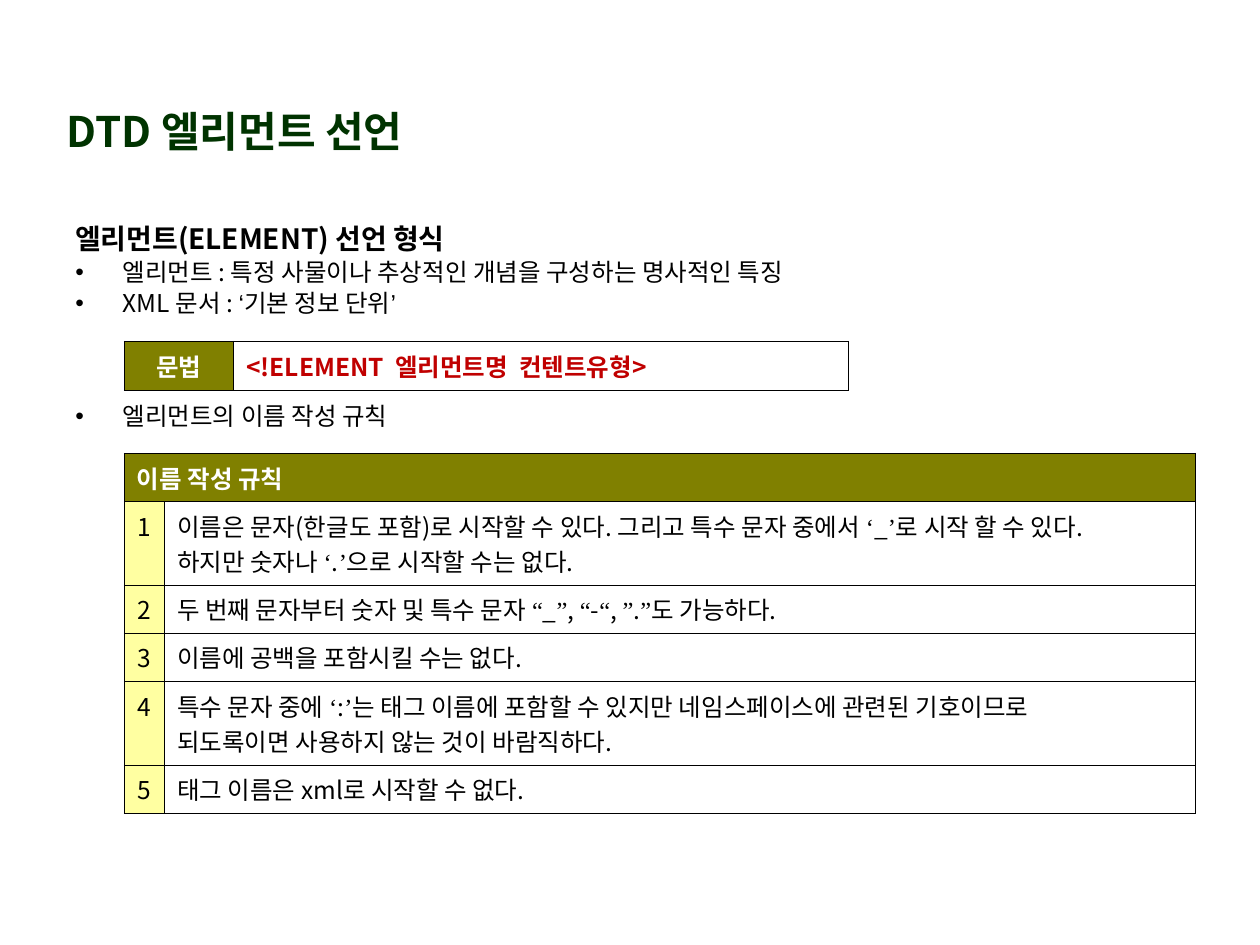
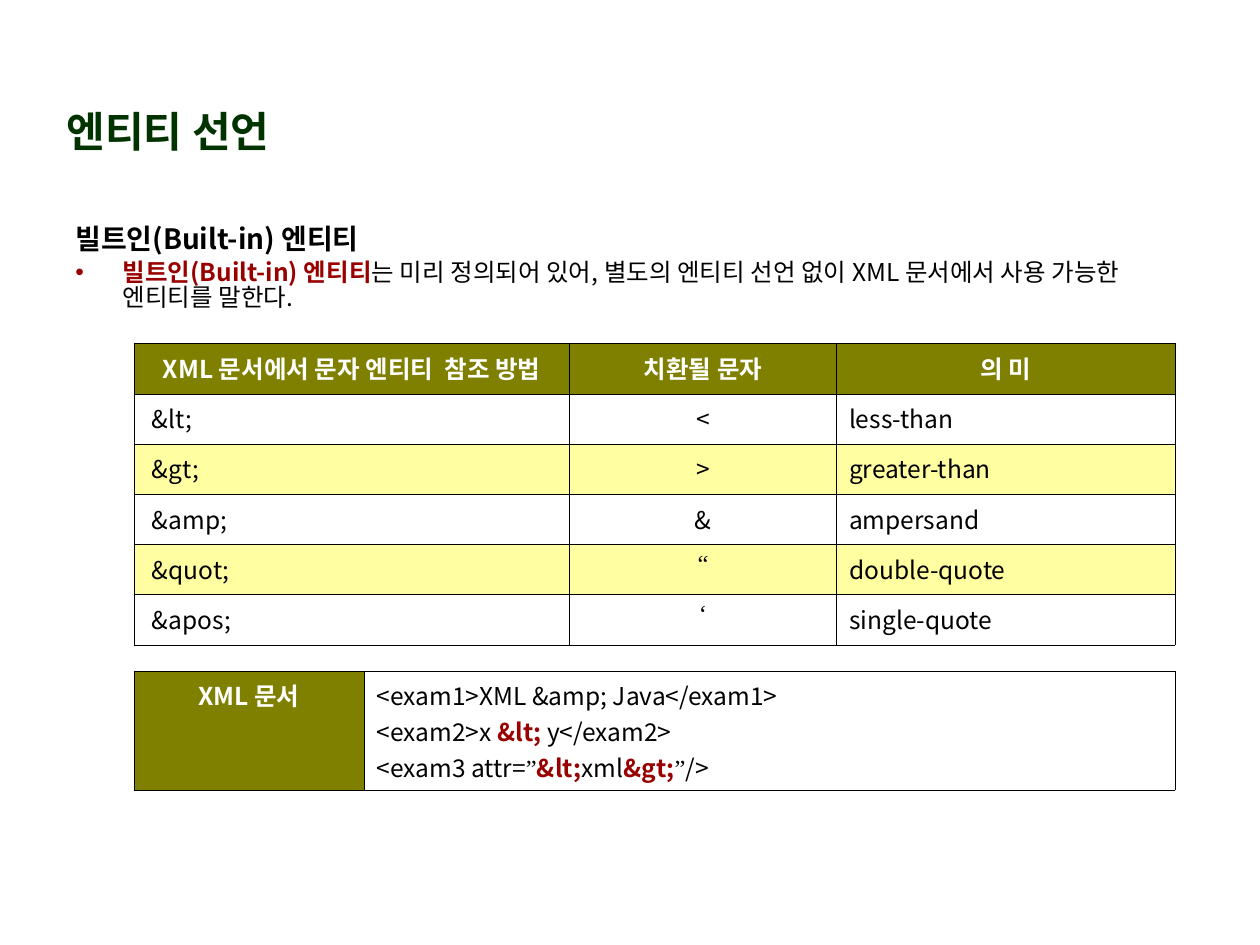
"""Builds two slides on DTD element and entity declarations."""
from itertools import groupby

from lxml import etree
from pptx import Presentation
from pptx import util as u
from pptx.dml.color import RGBColor
from pptx.enum import text
from pptx.oxml.ns import qn

FONT = "Noto Sans CJK KR"
QUOTES = "‘’“”"
OLIVE, YELLOW, BLACK = "808000", "FFFFA1", "000000"
LEFT, CENTER = text.PP_ALIGN.LEFT, text.PP_ALIGN.CENTER
STYLES = {
    "title": (24, "003300", True),
    "heading": (16, BLACK, True),
    "plain": (14, BLACK, False),
    "header": (14, "FFFFFF", True),
    "syntax": (14, "C00000", True),
    "accent": (14, "990000", True),
}
TITLE_BOX = (31, 54.7, 317.5, 39.6)
BODY_LEFT, BODY_TOP = 36, 126
INDENT = 27
LINE, CELL_PADDING = 20.3, 7.2

ELEMENT_TITLE = "DTD 엘리먼트 선언"
ELEMENT_HEADING = "엘리먼트(ELEMENT) 선언 형식"
ELEMENT_BULLETS = [
    [("엘리먼트 : 특정 사물이나 추상적인 개념을 구성하는 명사적인 특징", "plain")],
    [("XML 문서 : ‘기본 정보 단위’", "plain")],
]
SYNTAX = ("문법", "<!ELEMENT  엘리먼트명  컨텐트유형>")
NAMING_BULLET = [("엘리먼트의 이름 작성 규칙", "plain")]
NAMING_HEADER = "이름 작성 규칙"
NAMING_RULES = [
    ["이름은 문자(한글도 포함)로 시작할 수 있다. 그리고 특수 문자 중에서 ‘_’로 시작 할 수 있다.",
     "하지만 숫자나 ‘.’으로 시작할 수는 없다."],
    ["두 번째 문자부터 숫자 및 특수 문자 “_”, “-“, ”.”도 가능하다."],
    ["이름에 공백을 포함시킬 수는 없다."],
    ["특수 문자 중에 ‘:’는 태그 이름에 포함할 수 있지만 네임스페이스에 관련된 기호이므로",
     "되도록이면 사용하지 않는 것이 바람직하다."],
    ["태그 이름은 xml로 시작할 수 없다."],
]

ENTITY_TITLE = "엔티티 선언"
ENTITY_HEADING = "빌트인(Built-in) 엔티티"
ENTITY_BULLETS = [
    [("빌트인(Built-in) 엔티티", "accent"),
     ("는 미리 정의되어 있어, 별도의 엔티티 선언 없이 XML 문서에서 사용 가능한 엔티티를 말한다.", "plain")],
]
ENTITY_HEADERS = ("XML 문서에서 문자 엔티티  참조 방법", "치환될 문자", "의 미")
ENTITIES = [
    (" &lt;", "<", "less-than"),
    (" &gt;", ">", "greater-than"),
    (" &amp;", "&", "ampersand"),
    (" &quot;", "“", "double-quote"),
    (" &apos;", "‘", "single-quote"),
]
EXAMPLE_LABEL = "XML 문서"
EXAMPLE = [
    [("<exam1>XML &amp; Java</exam1>", "plain")],
    [("<exam2>x ", "plain"), ("&lt;", "accent"), (" y</exam2>", "plain")],
    [("<exam3 attr=”", "plain"), ("&lt;", "accent"), ("xml", "plain"),
     ("&gt;", "accent"), ("”/>", "plain")],
]


def color(value):
    return RGBColor.from_string(value)


def add_runs(paragraph, runs, quote_font="Times New Roman"):
    for content, style in runs:
        size, tint, bold = STYLES[style]
        for is_quote, letters in groupby(content, lambda letter: letter in QUOTES):
            run = paragraph.add_run()
            run.text = "".join(letters)
            font = run.font
            font.size, font.bold = u.Pt(size), bold
            font.color.rgb = color(tint)
            font.name = quote_font if is_quote else FONT
            east_asian = etree.SubElement(run._r.get_or_add_rPr(), qn("a:ea"))
            east_asian.set("typeface", font.name)


def next_paragraph(frame, index):
    return frame.paragraphs[0] if index == 0 else frame.add_paragraph()


def add_box(slide, left, top, width, height):
    shape = slide.shapes.add_textbox(u.Pt(left), u.Pt(top), u.Pt(width), u.Pt(height))
    shape.text_frame.word_wrap = True
    return shape.text_frame


def add_title(slide, content):
    frame = add_box(slide, *TITLE_BOX)
    frame.vertical_anchor = text.MSO_ANCHOR.MIDDLE
    add_runs(frame.paragraphs[0], [(content, "title")])


def add_bullet(paragraph, tint):
    properties = paragraph._p.get_or_add_pPr()
    properties.set("marL", str(u.Pt(INDENT)))
    properties.set("indent", str(-u.Pt(INDENT)))
    bullet_color = etree.SubElement(properties, qn("a:buClr"))
    etree.SubElement(bullet_color, qn("a:srgbClr")).set("val", tint)
    etree.SubElement(properties, qn("a:buFont")).set("typeface", "Arial")
    etree.SubElement(properties, qn("a:buChar")).set("char", "•")


def add_body(slide, bullets, top, width, height, heading=None):
    frame = add_box(slide, BODY_LEFT, top, width, height)
    paragraphs = [[(heading, "heading")]] if heading else []
    for index, runs in enumerate(paragraphs + bullets):
        paragraph = next_paragraph(frame, index)
        is_heading = index < len(paragraphs)
        paragraph.line_spacing = 0.85
        paragraph.space_before = u.Pt(4 if is_heading else 3.5)
        if not is_heading:
            add_bullet(paragraph, STYLES[runs[0][1]][1])
        add_runs(paragraph, runs, "Arial")


def add_table(slide, left, top, columns, rows):
    shape = slide.shapes.add_table(len(rows), len(columns), u.Pt(left), u.Pt(top),
                                   u.Pt(sum(columns)), u.Pt(sum(rows)))
    table = shape.table
    for column, width in zip(table.columns, columns):
        column.width = u.Pt(width)
    for row, height in zip(table.rows, rows):
        row.height = u.Pt(height)
    for cell in table.iter_cells():
        cell.fill.background()
        for position, side in enumerate(("lnL", "lnR", "lnT", "lnB")):
            line = etree.Element(qn(f"a:{side}"), w=str(u.Pt(0.45)))
            solid = etree.SubElement(line, qn("a:solidFill"))
            etree.SubElement(solid, qn("a:srgbClr")).set("val", BLACK)
            cell._tc.get_or_add_tcPr().insert(position, line)
    return table


def fill_cell(cell, lines, align=LEFT, fill=None):
    if fill:
        cell.fill.solid()
        cell.fill.fore_color.rgb = color(fill)
    for index, runs in enumerate(lines):
        paragraph = next_paragraph(cell.text_frame, index)
        paragraph.alignment = align
        add_runs(paragraph, runs)


def fill_header(cell, content, align=CENTER):
    fill_cell(cell, [[(content, "header")]], align, OLIVE)


def row_height(lines):
    return CELL_PADDING + LINE * lines


def build_element_slide(slide):
    add_body(slide, ELEMENT_BULLETS, BODY_TOP, 653, 356.4, ELEMENT_HEADING)
    syntax = add_table(slide, 71, 195, (62.5, 351.5), [28])
    label, form = SYNTAX
    fill_header(syntax.cell(0, 0), label)
    fill_cell(syntax.cell(0, 1), [[(form, "syntax")]])
    add_title(slide, ELEMENT_TITLE)
    add_body(slide, [NAMING_BULLET], 228.2, 647, 25)

    heights = [row_height(1)] + [row_height(len(rule)) for rule in NAMING_RULES]
    naming = add_table(slide, 71, 259, (23, 589), heights)
    naming.cell(0, 0).merge(naming.cell(0, 1))
    fill_header(naming.cell(0, 0), NAMING_HEADER, LEFT)
    for number, rule in enumerate(NAMING_RULES, 1):
        fill_cell(naming.cell(number, 0), [[(str(number), "plain")]], CENTER, YELLOW)
        fill_cell(naming.cell(number, 1), [[(line, "plain")] for line in rule])


def build_entity_slide(slide):
    add_body(slide, ENTITY_BULLETS, BODY_TOP, 647, 65, ENTITY_HEADING)
    entities = add_table(slide, 76.5, 196.4, (249, 152.5, 193.5),
                         [28.7] * (len(ENTITIES) + 1))
    for column, header in enumerate(ENTITY_HEADERS):
        fill_header(entities.cell(0, column), header)
    for row, entity in enumerate(ENTITIES, 1):
        for column, content in enumerate(entity):
            fill_cell(entities.cell(row, column), [[(content, "plain")]],
                      CENTER if column == 1 else LEFT,
                      YELLOW if row % 2 == 0 else None)
    add_title(slide, ENTITY_TITLE)
    example = add_table(slide, 76.5, 383.4, (131.5, 463.5), [row_height(len(EXAMPLE))])
    fill_header(example.cell(0, 0), EXAMPLE_LABEL)
    fill_cell(example.cell(0, 1), EXAMPLE)


def main():
    presentation = Presentation()
    presentation.slide_width, presentation.slide_height = u.Pt(720), u.Pt(540)
    for build in (build_element_slide, build_entity_slide):
        build(presentation.slides.add_slide(presentation.slide_layouts[6]))
    presentation.save("out.pptx")


if __name__ == "__main__":
    main()
